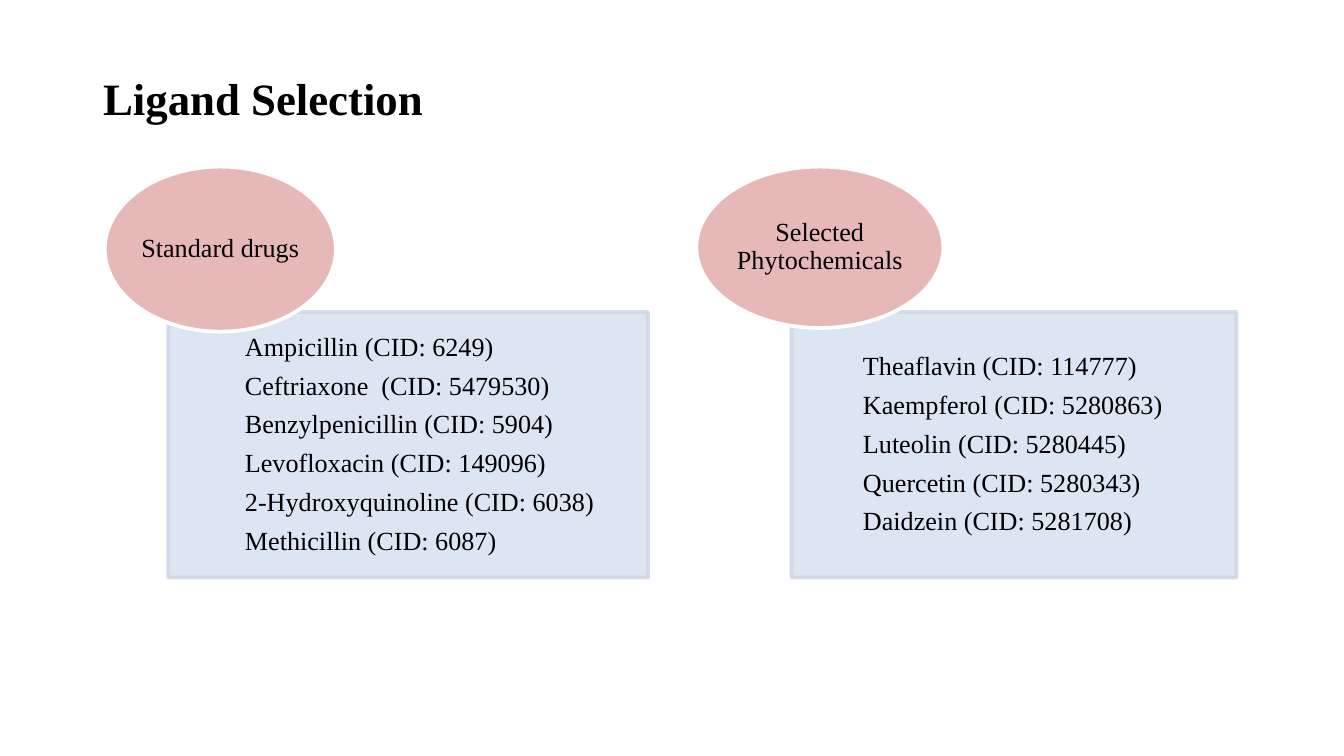
from lxml.etree import SubElement
from pptx import Presentation
from pptx.dml.color import RGBColor
from pptx.enum.shapes import MSO_SHAPE
from pptx.enum.text import MSO_ANCHOR, MSO_AUTO_SIZE, PP_ALIGN
from pptx.oxml.ns import qn
from pptx.util import Cm, Pt

FONT = "Times New Roman"
BLACK = RGBColor(0x00, 0x00, 0x00)
WHITE = RGBColor(0xFF, 0xFF, 0xFF)
PANEL_FILL = RGBColor(0xDC, 0xE6, 0xF2)
PANEL_LINE = RGBColor(0xD0, 0xD8, 0xE8)
OVAL_FILL = RGBColor(0xE6, 0xB9, 0xB8)

OVAL_TOP = 3.15
PANEL_TOP, PANEL_HEIGHT = 5.9, 5.02

DRUGS = [
    "Ampicillin (CID: 6249)",
    "Ceftriaxone  (CID: 5479530)",
    "Benzylpenicillin (CID: 5904)",
    "Levofloxacin (CID: 149096)",
    "2-Hydroxyquinoline (CID: 6038)",
    "Methicillin (CID: 6087)",
]
PHYTOCHEMICALS = [
    "Theaflavin (CID: 114777)",
    "Kaempferol (CID: 5280863)",
    "Luteolin (CID: 5280445)",
    "Quercetin (CID: 5280343)",
    "Daidzein (CID: 5281708)",
]


def format_runs(p, size, bold=False):
    for r in p.runs:
        r.font.name = FONT
        r.font.size = Pt(size)
        r.font.bold = bold
        r.font.color.rgb = BLACK


def add_filled_shape(s, kind, box, fill, line, lines, align, insets):
    """Add a shape with middle-anchored text; box and insets are in cm."""
    sp = s.shapes.add_shape(kind, *map(Cm, box))
    sp.shadow.inherit = False
    sp.fill.solid()
    sp.fill.fore_color.rgb = fill
    sp.line.color.rgb = line
    sp.line.width = Pt(2)

    tf = sp.text_frame
    tf.word_wrap = True
    tf.vertical_anchor = MSO_ANCHOR.MIDDLE
    tf.margin_left, tf.margin_top, tf.margin_right, tf.margin_bottom = map(Cm, insets)
    tf.text = "\n".join(lines)
    for p in tf.paragraphs:
        p.alignment = align
        p.line_spacing = 0.9
        p.space_after = Pt(5.6)
        format_runs(p, 14)
    return sp


def set_line_opacity(sp, percent):
    line = next(sp.element.iter(qn("a:ln")))
    color = next(line.iter(qn("a:srgbClr")))
    SubElement(color, qn("a:alpha")).set("val", str(percent * 1000))


def add_panel(s, left, width, indent, items):
    sp = add_filled_shape(s, MSO_SHAPE.RECTANGLE,
                          (left, PANEL_TOP, width, PANEL_HEIGHT),
                          PANEL_FILL, PANEL_LINE, items,
                          PP_ALIGN.LEFT, (indent, 0.28, 0.28, 0.28))
    set_line_opacity(sp, 90)


def add_oval(s, left, width, height, label):
    add_filled_shape(s, MSO_SHAPE.OVAL, (left, OVAL_TOP, width, height),
                     OVAL_FILL, WHITE, [label], PP_ALIGN.CENTER, (0, 0, 0, 0))


def add_title(s, text):
    tf = s.shapes.add_textbox(Cm(1.7), Cm(1.22), Cm(6.98), Cm(1.27)).text_frame
    tf.word_wrap = True
    tf.auto_size = MSO_AUTO_SIZE.SHAPE_TO_FIT_TEXT
    tf.text = text
    format_runs(tf.paragraphs[0], 24, bold=True)


def main():
    prs = Presentation()
    prs.slide_width, prs.slide_height = Cm(25.4), Cm(14.29)
    s = prs.slides.add_slide(prs.slide_layouts[6])

    add_panel(s, 3.18, 9.07, 1.45, DRUGS)
    add_oval(s, 1.98, 4.37, 3.12, "Standard drugs")
    add_panel(s, 14.96, 8.41, 1.35, PHYTOCHEMICALS)
    add_oval(s, 13.16, 4.67, 3.05, "Selected Phytochemicals")
    add_title(s, "Ligand Selection")

    prs.save("out.pptx")


if __name__ == "__main__":
    main()
